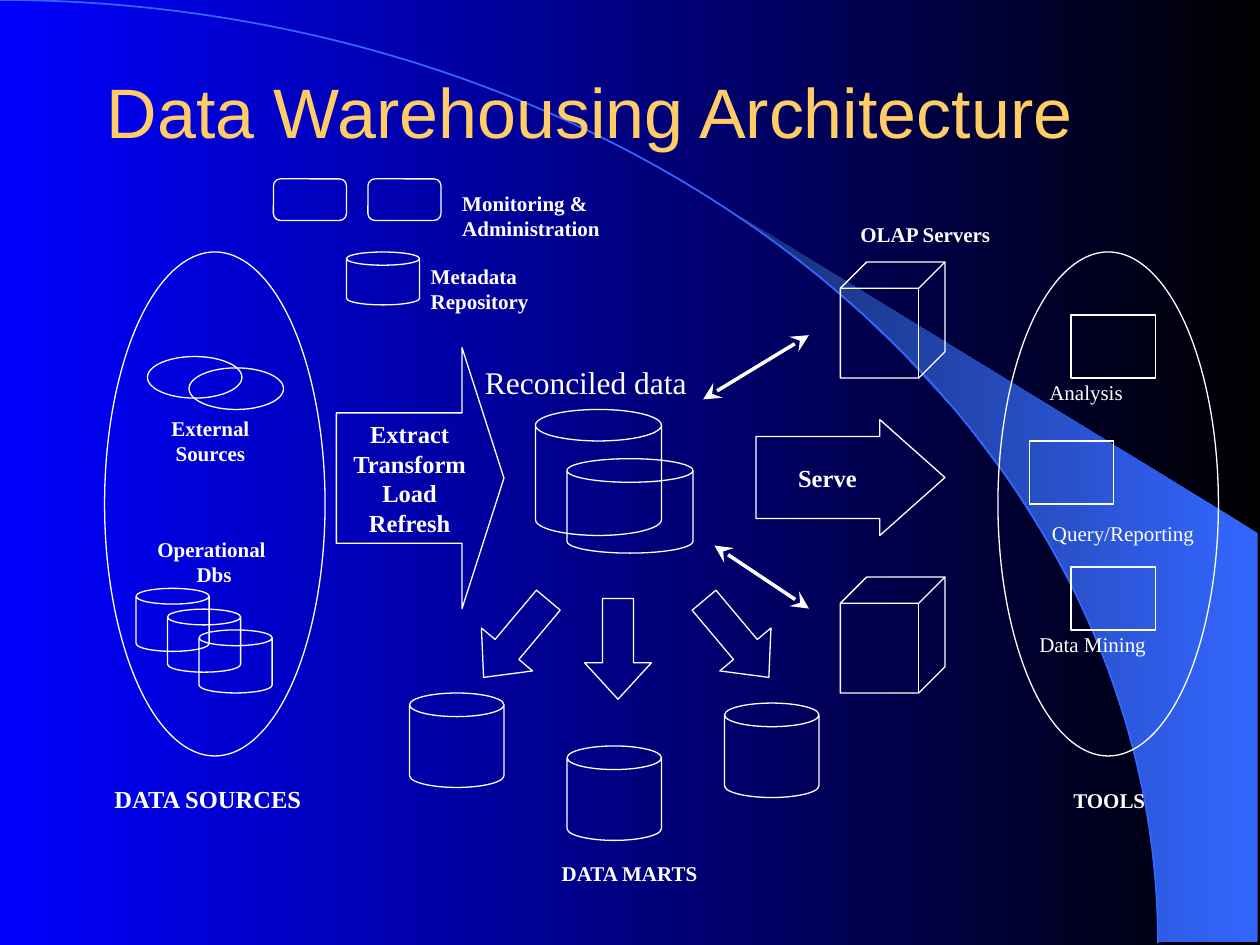
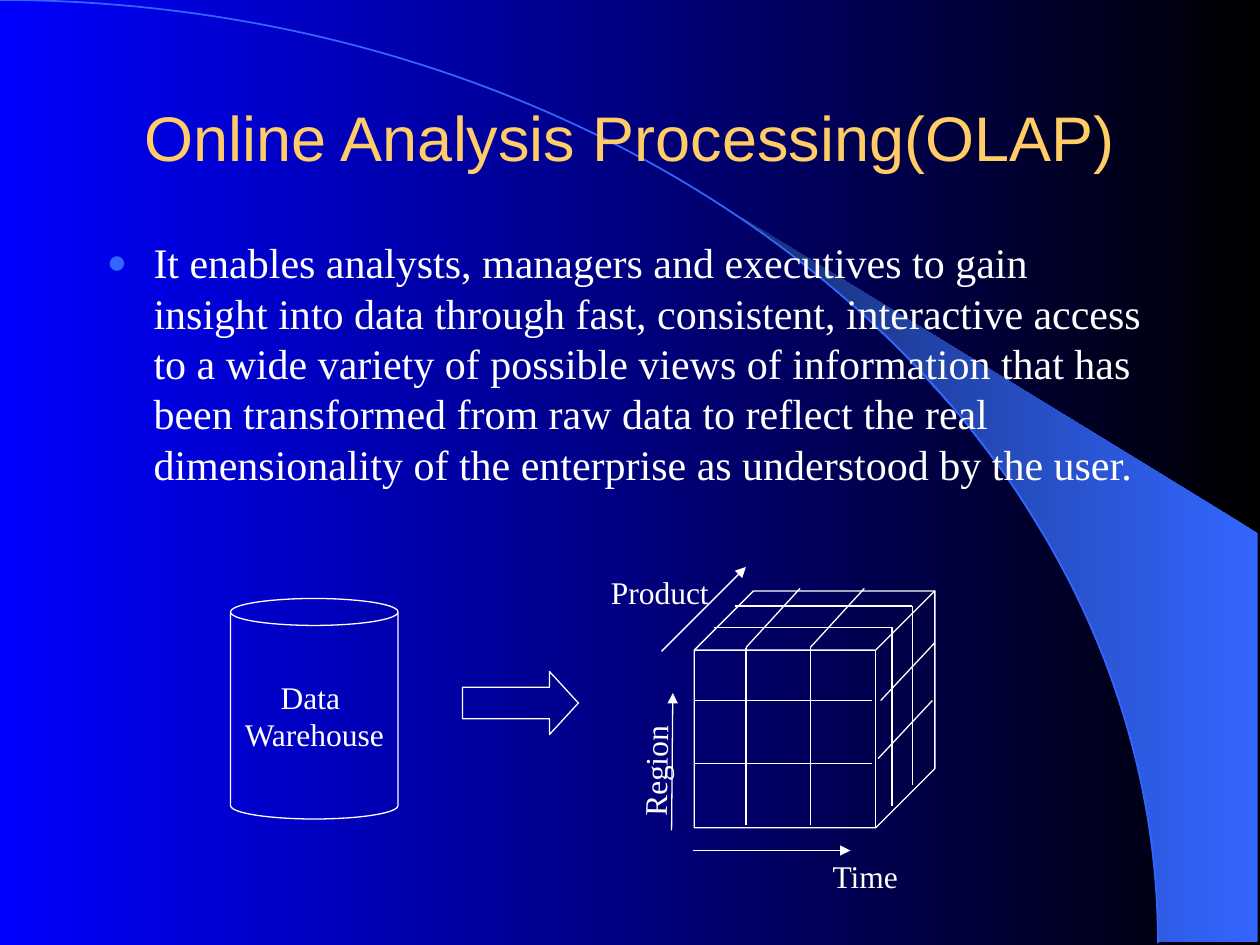
import pptx
import pptx.util
import pptx.dml.color
import pptx.enum.shapes
import pptx.enum.text
import pptx.oxml
import pptx.oxml.ns

Inches = pptx.util.Inches
Pt = pptx.util.Pt
KIND = pptx.enum.shapes.MSO_SHAPE
ALIGN = pptx.enum.text.PP_ALIGN
ANCHOR = pptx.enum.text.MSO_ANCHOR

# Shared look
WHITE, GOLD, AZURE, NAVY = "FFFFFF", "FFCC66", "3366FF", "172F75"
BLACK, BLUE = "000000", "0000FF"
SERIF, SANS = "Times New Roman", "Arial"
ARC = (-9.2, 0, 18.39, 14.97)
FAN = [(9.2, 7.48), (9.98, 7.48), (9.98, 4.23), (5.89, 1.73), (6.24, 1.99),
       (6.53, 2.22), (6.85, 2.5), (7.16, 2.8), (7.62, 3.3), (8.03, 3.84),
       (8.32, 4.31), (8.58, 4.79), (8.78, 5.27), (8.93, 5.72),
       (9.03, 6.09), (9.13, 6.56), (9.17, 6.96)]


def color(code):
    return pptx.dml.color.RGBColor.from_string(code)


def blend(fill, first, last):
    fill.gradient()
    fill.gradient_angle = 180
    for stop, code in zip(fill.gradient_stops, (first, last)):
        stop.color.rgb = color(code)


def stroke(line, code=WHITE, width=0.75):
    line.color.rgb = color(code)
    line.width = Pt(width)


def draw(slide, kind, box, adjust=(), turn=0):
    shape = slide.shapes.add_shape(kind, *map(Inches, box))
    shape.shadow.inherit = False
    shape.fill.background()
    stroke(shape.line)
    shape.rotation = turn
    for i, value in enumerate(adjust):
        shape.adjustments[i] = value
    return shape


def add_slide(deck):
    """Blank slide with the blue backdrop, the fan and the arc."""
    slide = deck.slides.add_slide(deck.slide_layouts[6])
    blend(slide.background.fill, BLACK, BLUE)
    points = [(Inches(x), Inches(y)) for x, y in FAN]
    pen = slide.shapes.build_freeform(*points[0])
    pen.add_line_segments(points[1:])
    fan = pen.convert_to_shape()
    fan.shadow.inherit = False
    blend(fan.fill, AZURE, NAVY)
    fan.line.fill.background()
    stroke(draw(slide, KIND.ARC, ARC).line, AZURE, 1)
    return slide


def write(frame, text, size, bold=False, align=ALIGN.LEFT, code=WHITE,
          font=SERIF, wrap=True):
    frame.text = text
    frame.word_wrap = wrap
    for para in frame.paragraphs:
        para.alignment = align
        for run in para.runs:
            run.font.name = font
            run.font.size = Pt(size)
            run.font.bold = bold
            run.font.color.rgb = color(code)


def label(slide, box, text, size=12, **style):
    shape = slide.shapes.add_textbox(*map(Inches, box))
    write(shape.text_frame, text, size, **style)
    return shape


def title(slide, box, text, size, align=ALIGN.LEFT):
    shape = label(slide, box, text, size, align=align, code=GOLD, font=SANS)
    shape.text_frame.vertical_anchor = ANCHOR.MIDDLE


def caption(shape, text, size, **style):
    write(shape.text_frame, text, size, align=ALIGN.CENTER, **style)
    shape.text_frame.vertical_anchor = ANCHOR.MIDDLE


def append(parent, tag, **values):
    parent.append(parent.makeelement(pptx.oxml.ns.qn("a:" + tag), values))


def link(slide, start, end, width=0.75, head=None, tail=None, size="med"):
    line = slide.shapes.add_connector(
        pptx.enum.shapes.MSO_CONNECTOR.STRAIGHT,
        *map(Inches, (*start, *end)))
    stroke(line.line, width=width)
    props = line._element.spPr
    edge = props.find(pptx.oxml.ns.qn("a:ln"))
    for tag, tip in (("headEnd", head), ("tailEnd", tail)):
        if tip:
            append(edge, tag, type=tip, w=size, len=size)
    append(props, "effectLst")


def bullet(para):
    props = para._p.get_or_add_pPr()
    props.set("marL", str(Inches(0.37)))
    props.set("indent", str(-Inches(0.37)))
    para.space_before = Pt(6)
    props.append(pptx.oxml.parse_xml(
        f'<a:buClr {pptx.oxml.ns.nsdecls("a")}>'
        f'<a:srgbClr val="{AZURE}"/></a:buClr>'))
    append(props, "buSzPct", val="80000")
    append(props, "buFont", typeface=SERIF)
    append(props, "buChar", char="●")


def build_flow(deck):
    slide = add_slide(deck)
    title(slide, (0.75, 0.5, 8.5, 0.75), "Data Warehousing Architecture", 40)

    # Sources and tools ovals, with the two external sources
    for box in ((7.92, 2, 1.75, 4), (0.83, 2, 1.75, 4),
                (1.17, 2.83, 0.75, 0.33), (1.5, 2.92, 0.75, 0.33)):
        draw(slide, KIND.OVAL, box)

    # Stores: warehouse, metadata, marts, operational databases
    stores = [(4.25, 3.25, 1, 1), (4.5, 3.64, 1, 0.75),
              (2.75, 2, 0.58, 0.42)]
    stores += [(x, y, 0.75, 0.75)
               for x, y in ((3.25, 5.5), (4.5, 5.92), (5.75, 5.58))]
    stores += [(1.08 + 0.25 * i, 4.67 + 0.165 * i, 0.58, 0.5)
               for i in range(3)]
    for box in stores:
        draw(slide, KIND.CAN, box, [0.25])

    # Servers, monitors and tools
    for y in (2.08, 4.58):
        draw(slide, KIND.CUBE, (6.67, y, 0.83, 0.92), [0.25])
    for x in (2.17, 2.92):
        draw(slide, KIND.ROUNDED_RECTANGLE, (x, 1.42, 0.58, 0.33))
    for x, y in ((8.5, 2.5), (8.17, 3.5), (8.5, 4.5)):
        draw(slide, KIND.RECTANGLE, (x, y, 0.67, 0.5))

    # Block arrows
    load = draw(slide, KIND.RIGHT_ARROW, (2.67, 2.76, 1.33, 2.07), [0.5, 0.25])
    caption(load, "Extract Transform Load Refresh", 14, bold=True)
    serve = draw(slide, KIND.RIGHT_ARROW, (6, 3.33, 1.5, 0.92), [0.706, 0.562])
    caption(serve, "Serve", 14, bold=True)
    for x, y, turn in ((3.83, 4.67, 40), (4.64, 4.75, 0), (5.58, 4.67, 320)):
        draw(slide, KIND.DOWN_ARROW, (x, y, 0.53, 0.8), [0.466, 0.546], turn)

    # Two-way links to the servers
    for start, end in (((5.58, 3.17), (6.42, 2.66)),
                       ((5.67, 4.33), (6.42, 4.83))):
        link(slide, start, end, 2, "stealth", "stealth", "lg")

    # Labels
    for box, text in (((1.26, 3.25, 0.82, 0.5), "External\nSources"),
                      ((1.15, 4.21, 1.1, 0.5), "Operational \nDbs")):
        label(slide, box, text, bold=True, align=ALIGN.CENTER, wrap=False)
    for box, text in (((8.23, 2.96, 0.78, 0.3), "Analysis"),
                      ((8.25, 4.08, 1.42, 0.3), "Query/Reporting"),
                      ((8.15, 4.96, 1.1, 0.3), "Data Mining")):
        label(slide, box, text)
    for box, text, size in (
            ((3.57, 1.46, 1.35, 0.5), "Monitoring &\nAdministration", 12),
            ((3.32, 2.04, 0.98, 0.5), "Metadata\nRepository", 12),
            ((0.81, 6.17, 1.72, 0.34), "DATA SOURCES", 14),
            ((8.42, 6.2, 0.77, 0.3), "TOOLS", 12),
            ((4.36, 6.78, 1.31, 0.3), "DATA MARTS", 12),
            ((6.73, 1.71, 1.24, 0.3), "OLAP Servers", 12)):
        label(slide, box, text, size, bold=True, wrap=False)
    label(slide, (3.75, 2.83, 2.08, 0.4), "Reconciled data", 18)


def build_cube(deck):
    slide = add_slide(deck)
    title(slide, (0.75, 0.67, 8.5, 0.83), "Online Analysis Processing(OLAP)",
          36, ALIGN.CENTER)
    body = label(
        slide, (0.75, 1.83, 8.45, 2.42),
        "It enables analysts, managers and executives to gain insight into "
        "data through fast, consistent, interactive access to a wide variety "
        "of possible views of information that has been transformed from raw "
        "data to reflect the real dimensionality of the enterprise as "
        "understood by the user.", 24)
    bullet(body.text_frame.paragraphs[0])

    # Warehouse feeding the cube
    store = draw(slide, KIND.CAN, (1.83, 4.75, 1.33, 1.75), [0.161])
    caption(store, "Data \nWarehouse", 18, wrap=False)
    draw(slide, KIND.RIGHT_ARROW, (3.67, 5.33, 0.92, 0.5), [0.5, 0.458])
    draw(slide, KIND.CUBE, (5.51, 4.69, 1.91, 1.88), [0.25])

    # Grid on the front, top and side of the cube
    for x in (5.92, 6.43):
        link(slide, (x, 5.14), (x, 6.55))
        link(slide, (x, 5.14), (x + 0.43, 4.67))
    for y in (5.56, 6.06):
        link(slide, (5.51, y), (6.92, y))
    for x, y in ((6.99, 5.56), (6.97, 6.02)):
        link(slide, (x, y), (x + 0.43, y - 0.46))
    for x, y in ((5.67, 4.98), (5.83, 4.81)):
        link(slide, (x, y), (x + 1.41, y))
        link(slide, (x + 1.41, y), (x + 1.41, y + 1.42))

    # Axes
    for start, end in (((5.5, 6.75), (6.75, 6.75)),
                       ((5.33, 6.59), (5.34, 5.5)),
                       ((5.25, 5.17), (5.92, 4.5))):
        link(slide, start, end, tail="triangle")
    label(slide, (6.51, 6.75, 0.9, 0.4), "Time", 18)
    label(slide, (4.75, 4.5, 1, 0.4), "Product", 18)
    label(slide, (4.7, 5.88, 1, 0.4), "Region", 18).rotation = 271


def main():
    deck = pptx.Presentation()
    deck.slide_width, deck.slide_height = Inches(10), Inches(7.5)
    build_flow(deck)
    build_cube(deck)
    deck.save("out.pptx")


if __name__ == "__main__":
    main()
